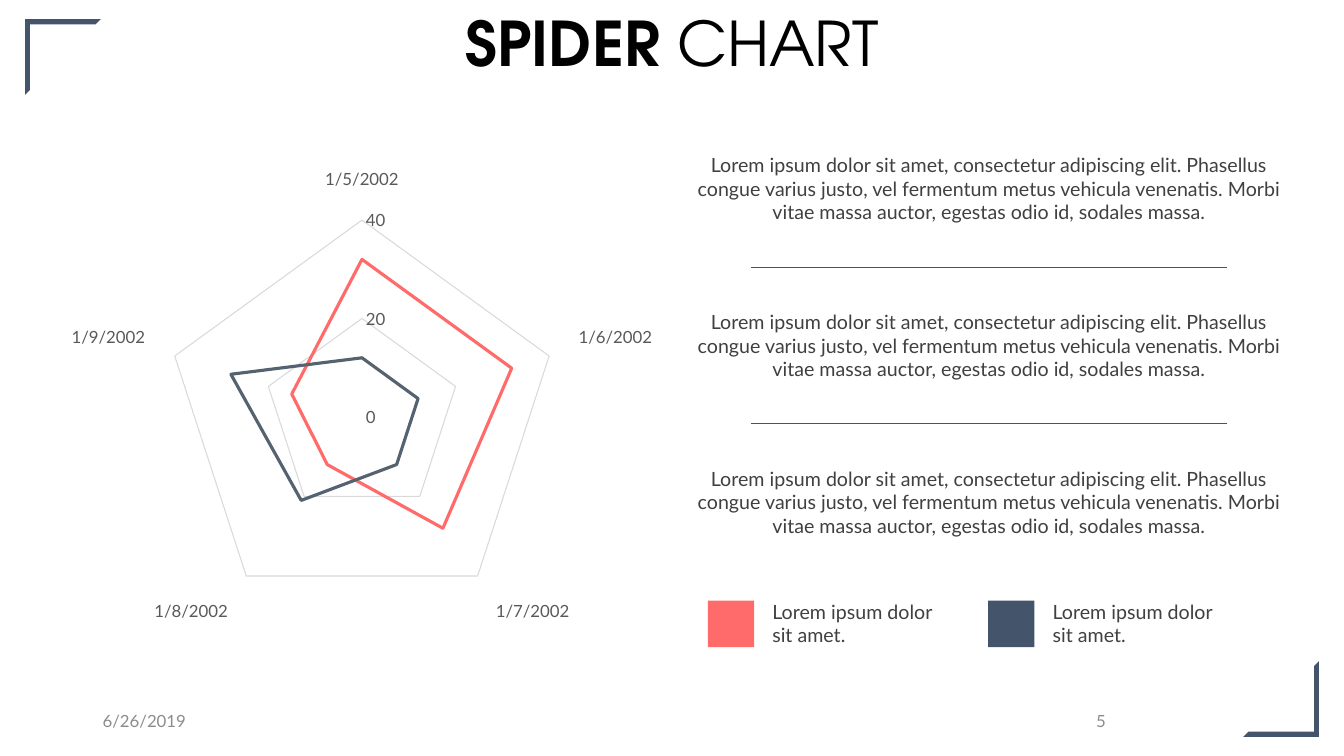
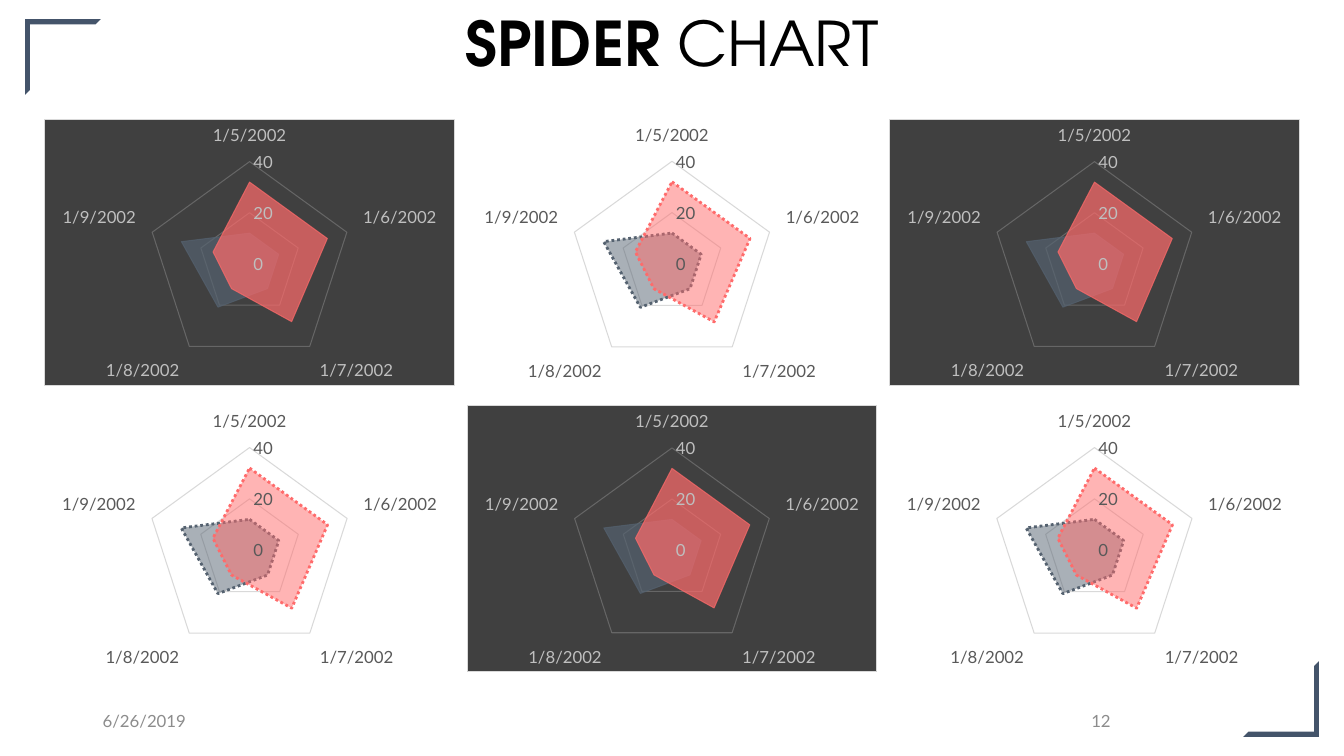
from lxml import etree
from pptx import Presentation
from pptx.chart.data import CategoryChartData
from pptx.dml.color import RGBColor
from pptx.enum import chart as ch, dml, shapes, text
from pptx.oxml import parse_xml
from pptx.oxml.ns import nsdecls, qn
from pptx.util import Inches, Pt

COLORS = {
    "title": "000000", "body": "404040", "footer": "8C8C8C",
    "navy": "44546A", "coral": "FF6B6B", "slate": "556270",
    "axis": "595959", "grid": "D9D9D9",
    "panel": "404040", "panel_axis": "BFBFBF", "panel_grid": "FFFFFF",
}
BODY_FONT, TITLE_FONT = "Lato", "TeX Gyre Adventor"
DATE = "6/26/2019"
LOREM = ("Lorem ipsum dolor sit amet, consectetur adipiscing elit. Phasellus "
         "congue varius justo, vel fermentum metus vehicula venenatis. Morbi "
         "vitae massa auctor, egestas odio id, sodales massa.")
LEGEND = "Lorem ipsum dolor sit amet."
CATEGORIES = [f"1/{day}/2002" for day in range(5, 10)]
SERIES = [("Series 1", (32, 32, 28, 12, 15), "coral"),
          ("Series 2", (12, 12, 12, 21, 28), "slate")]
CENTER, LEFT = text.PP_ALIGN.CENTER, text.PP_ALIGN.LEFT


def rgb(name):
    return RGBColor.from_string(COLORS[name])


def box(x, y, w, h):
    return [Inches(v) for v in (x, y, w, h)]


def set_font(font, size, color, name=BODY_FONT):
    font.size, font.name = Pt(size), name
    font.color.rgb = rgb(color)


def set_line(line, color, width):
    line.color.rgb = rgb(color)
    line.width = Pt(width)


def set_alpha(element, query, percent):
    for clr in element.xpath(query):
        etree.SubElement(clr, qn("a:alpha")).set("val", str(percent * 1000))


def no_insets(tf):
    tf.margin_left = tf.margin_right = tf.margin_top = tf.margin_bottom = 0
    tf.vertical_anchor = text.MSO_ANCHOR.TOP
    tf.auto_size = text.MSO_AUTO_SIZE.SHAPE_TO_FIT_TEXT


def add_text(s, at, words, size=14, color="body", align=LEFT):
    tf = s.shapes.add_textbox(*box(*at)).text_frame
    tf.word_wrap = True
    tf.text = words
    p = tf.paragraphs[0]
    p.alignment = align
    set_font(p.runs[0].font, size, color)
    return tf


def add_filled(s, kind, at, color):
    sp = s.shapes.add_shape(kind, *box(*at))
    sp.shadow.inherit = False
    sp.fill.solid()
    sp.fill.fore_color.rgb = rgb(color)
    sp.line.fill.background()
    return sp


def add_rule(s, x1, x2, y):
    line = s.shapes.add_connector(shapes.MSO_CONNECTOR.STRAIGHT,
                                  Inches(x1), Inches(y), Inches(x2), Inches(y))
    set_line(line.line, "navy", 0.5)
    etree.SubElement(line._element.spPr, qn("a:effectLst"))


def new_slide(prs, number):
    """Add a slide with the shared title, footer and corner frames."""
    s = prs.slides.add_slide(prs.slide_layouts[5])
    title = s.shapes.title
    title.left, title.top, title.width, title.height = box(0.33, 0.13, 12.67, 0.74)
    no_insets(title.text_frame)
    p = title.text_frame.paragraphs[0]
    p.alignment, p.line_spacing = CENTER, 0.9
    for words, bold in (("SPIDER ", True), ("CHART", False)):
        r = p.add_run()
        r.text = words
        set_font(r.font, 44, "title", TITLE_FONT)
        r.font.bold = bold

    for x, words, align in ((0.92, DATE, LEFT), (9.42, str(number), CENTER)):
        tf = add_text(s, (x, 6.95, 3, 0.4), words, 12, "footer", align)
        tf.vertical_anchor = text.MSO_ANCHOR.MIDDLE

    for x, y, angle in ((0.25, 0.19, 0), (12.33, 6.56, 180)):
        frame = add_filled(s, shapes.MSO_SHAPE.HALF_FRAME, (x, y, 0.75, 0.75), "navy")
        frame.adjustments[0], frame.adjustments[1] = 0.068, 0.062
        frame.rotation = angle
    return s


def set_panel(chart, dark):
    """Give the chart area a dark framed panel, or no fill at all."""
    fill, line = "<a:noFill/>", "<a:ln><a:noFill/></a:ln>"
    if dark:
        solid = '<a:solidFill><a:srgbClr val="{}"/></a:solidFill>'
        fill = solid.format(COLORS["panel"])
        line = f'<a:ln w="{Pt(0.75)}">{solid.format(COLORS["grid"])}</a:ln>'
    panel = parse_xml(f'<c:spPr {nsdecls("c", "a")}>{fill}{line}</c:spPr>')
    chart._chartSpace.xpath("c:txPr")[0].addprevious(panel)


def style_axes(chart, dark):
    prefix = "panel_" if dark else ""
    cat, val = chart.category_axis, chart.value_axis
    val.minimum_scale, val.maximum_scale, val.major_unit = 0, 40, 20
    cat.has_major_gridlines, val.has_major_gridlines = dark, True
    for axis in (cat, val):
        axis.major_tick_mark = axis.minor_tick_mark = ch.XL_TICK_MARK.NONE
        set_font(axis.tick_labels.font, 12, prefix + "axis")
        if axis.has_major_gridlines:
            set_line(axis.major_gridlines.format.line, prefix + "grid", 0.75)
        if dark:
            set_alpha(axis._element, "c:majorGridlines//a:srgbClr", 20)
        if axis is cat and not dark:
            set_line(axis.format.line, "grid", 0.75)
        else:
            axis.format.line.fill.background()


def style_series(ser, color, filled, dark):
    line = ser.format.line
    if not filled:
        set_line(line, color, 2.25)
        return
    ser.format.fill.solid()
    ser.format.fill.fore_color.rgb = rgb(color)
    set_line(line, color, 0.75 if dark else 2)
    if dark:
        set_alpha(ser._element, "c:spPr//a:srgbClr", 70)
    else:
        line.dash_style = dml.MSO_LINE.ROUND_DOT
        set_alpha(ser._element, "c:spPr/a:solidFill/a:srgbClr", 50)


def add_radar(s, at, filled=False, dark=False):
    data = CategoryChartData()
    data.categories = CATEGORIES
    for name, values, _ in SERIES:
        data.add_series(name, values)
    kind = ch.XL_CHART_TYPE.RADAR_FILLED if filled else ch.XL_CHART_TYPE.RADAR
    chart = s.shapes.add_chart(kind, *box(*at), data).chart
    chart.has_title = chart.has_legend = False
    set_font(chart.font, 10, "title")
    chart.plots[0].vary_by_categories = False
    set_panel(chart, dark)
    style_axes(chart, dark)
    for ser, (_, _, color) in zip(chart.plots[0].series, SERIES):
        style_series(ser, color, filled, dark)


def line_radar_slide(prs):
    s = new_slide(prs, 5)
    # Legend
    for i, color in enumerate(("coral", "navy")):
        x = 7.02 + 2.78 * i
        add_filled(s, shapes.MSO_SHAPE.RECTANGLE, (x, 5.96, 0.46, 0.46), color)
        no_insets(add_text(s, (x + 0.64, 5.95, 1.76, 0.47), LEGEND))
    add_radar(s, (0.59, 1.52, 6, 4.8))
    # Paragraphs with rules between them
    for i in range(3):
        y = 1.52 + 1.555 * i
        no_insets(add_text(s, (6.87, y, 5.88, 0.71), LOREM, align=CENTER))
        if i < 2:
            add_rule(s, 7.45, 12.17, y + 1.13)


def filled_radar_slide(prs):
    s = new_slide(prs, 12)
    # Checkerboard of dark and light charts
    for row in range(2):
        for col in range(3):
            at = (0.44 + 4.19 * col, 1.18 + 2.84 * row, 4.07, 2.65)
            add_radar(s, at, filled=True, dark=(row + col) % 2 == 0)


def main():
    prs = Presentation()
    prs.slide_width, prs.slide_height = Inches(13.33), Inches(7.5)
    line_radar_slide(prs)
    filled_radar_slide(prs)
    prs.save("out.pptx")


if __name__ == "__main__":
    main()
